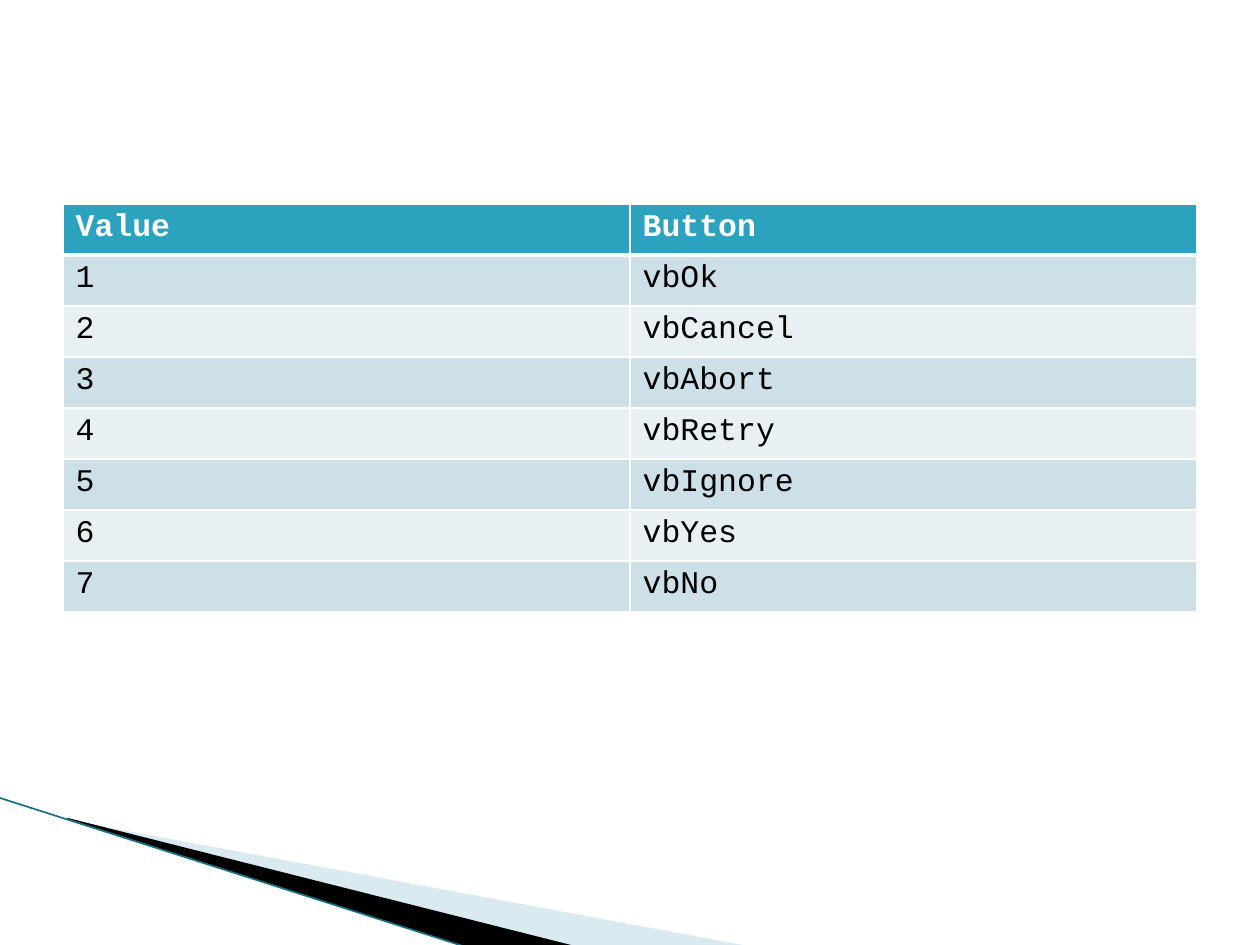
from dataclasses import dataclass

from lxml import etree
from pptx import Presentation
from pptx.dml.color import RGBColor
from pptx.enum.shapes import MSO_CONNECTOR
from pptx.oxml.ns import qn
from pptx.util import Inches, Pt

WHITE = RGBColor(0xFF, 0xFF, 0xFF)
BLACK = RGBColor(0x00, 0x00, 0x00)
TEAL = RGBColor(0x2D, 0xA2, 0xBF)
DARK_TEAL = RGBColor(0x16, 0x70, 0x82)
PALE_BLUE = RGBColor(0xA0, 0xCB, 0xDC)
ODD_BAND = RGBColor(0xCD, 0xE0, 0xE8)
EVEN_BAND = RGBColor(0xE8, 0xF0, 0xF4)
FONT = "Courier New"

BUTTONS = ["vbOk", "vbCancel", "vbAbort", "vbRetry", "vbIgnore", "vbYes", "vbNo"]


@dataclass(frozen=True)
class Wedge:
    points: list[tuple[float, float]]
    color: RGBColor
    opacity: int = 100


@dataclass(frozen=True)
class RowStyle:
    fill: RGBColor
    text: RGBColor = BLACK
    bold: bool = False
    top: int = 1
    bottom: int = 1


WEDGES = [
    Wedge([(0.55, 6.51), (5.95, 7.51), (4.56, 7.51), (0.55, 6.5)], PALE_BLUE, 40),
    Wedge([(0.53, 6.49), (4.57, 7.51), (3.72, 7.52), (0.54, 6.5)], BLACK),
]


def draw_wedge(slide, wedge: Wedge) -> None:
    start, *rest = [(Inches(x), Inches(y)) for x, y in wedge.points]
    builder = slide.shapes.build_freeform(*start)
    builder.add_line_segments(rest, close=True)
    shape = builder.convert_to_shape()
    shape.shadow.inherit = False
    shape.line.fill.background()
    shape.fill.solid()
    shape.fill.fore_color.rgb = wedge.color
    if wedge.opacity < 100:
        color = shape.fill._xPr.find(f".//{qn('a:srgbClr')}")
        etree.SubElement(color, qn("a:alpha"), val=str(wedge.opacity * 1000))


def draw_edge(slide) -> None:
    edge = slide.shapes.add_connector(
        MSO_CONNECTOR.STRAIGHT,
        Inches(-0.01), Inches(6.33), Inches(3.71), Inches(7.52))
    edge.line.color.rgb = DARK_TEAL
    edge.line.width = Pt(0.95)
    etree.SubElement(edge._element.spPr, qn("a:effectLst"))


def set_border(cell, side: str, points: int) -> None:
    border = etree.SubElement(
        cell._tc.get_or_add_tcPr(), qn(f"a:ln{side}"), w=str(Pt(points)))
    fill = etree.SubElement(border, qn("a:solidFill"))
    etree.SubElement(fill, qn("a:srgbClr"), val=str(WHITE))


def fill_cell(cell, text: str, style: RowStyle) -> None:
    for side, points in (("L", 1), ("R", 1), ("T", style.top), ("B", style.bottom)):
        set_border(cell, side, points)
    cell.fill.solid()
    cell.fill.fore_color.rgb = style.fill
    run = cell.text_frame.paragraphs[0].add_run()
    run.text = text
    run.font.name = FONT
    run.font.size = Pt(18)
    run.font.bold = style.bold
    run.font.color.rgb = style.text


def row_style(index: int) -> RowStyle:
    if index == 0:
        return RowStyle(TEAL, WHITE, bold=True, bottom=3)
    return RowStyle(ODD_BAND if index % 2 else EVEN_BAND, top=3 if index == 1 else 1)


def draw_button_table(slide) -> None:
    rows = [("Value", "Button")]
    rows += [(str(value), button) for value, button in enumerate(BUTTONS, 1)]
    table = slide.shapes.add_table(
        len(rows), 2, Inches(0.5), Inches(1.62), Inches(9), Inches(3.24)).table
    for index, texts in enumerate(rows):
        for column, text in enumerate(texts):
            fill_cell(table.cell(index, column), text, row_style(index))


def main() -> None:
    deck = Presentation()
    deck.slide_width, deck.slide_height = Inches(10), Inches(7.5)
    slide = deck.slides.add_slide(deck.slide_layouts[6])

    # Corner decoration
    for wedge in WEDGES:
        draw_wedge(slide, wedge)
    draw_edge(slide)

    # Return values of the message box buttons
    draw_button_table(slide)

    deck.save("out.pptx")


if __name__ == "__main__":
    main()
